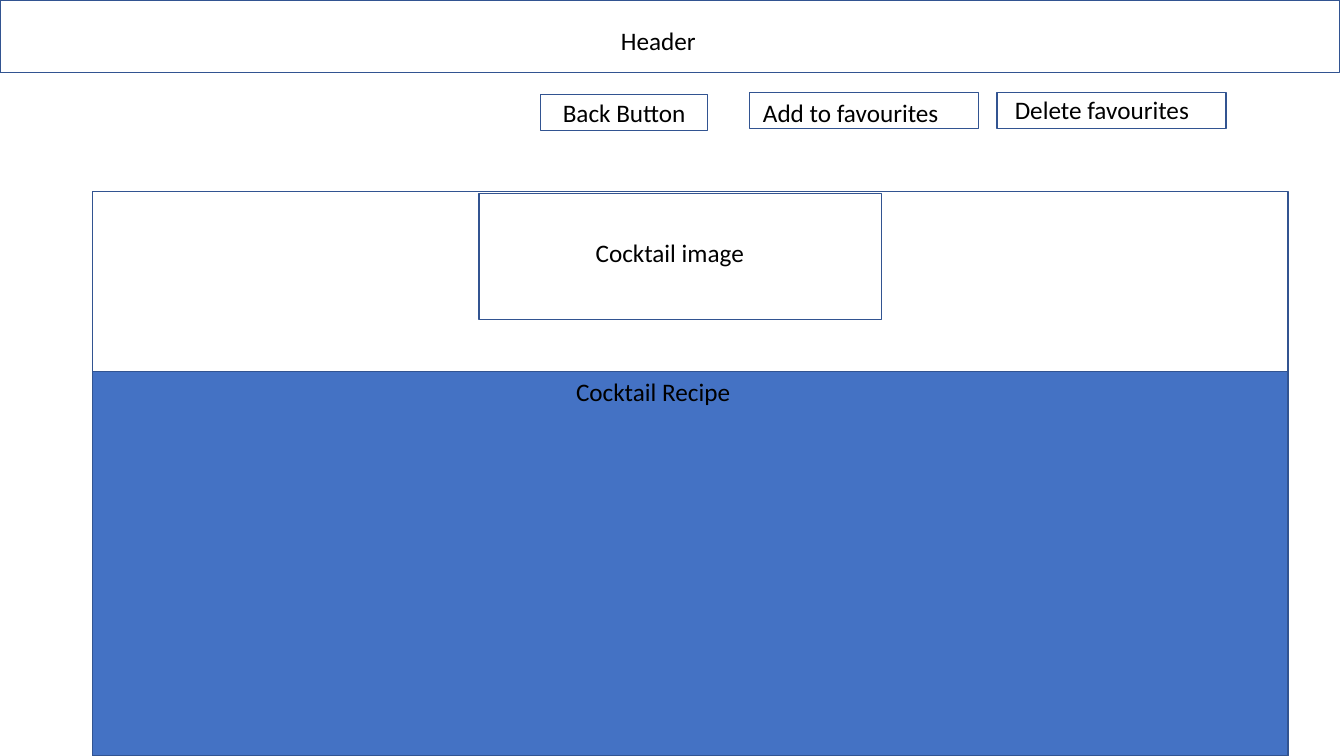
"""Build the cocktail recipe page wireframe slide."""
from pptx import Presentation
from pptx.dml.color import RGBColor
from pptx.enum.shapes import MSO_SHAPE
from pptx.enum.text import MSO_AUTO_SIZE, PP_ALIGN
from pptx.util import Cm, Pt

BOXES = [
    (0, 0, 33.76, 1.83, None),
    (13.62, 2.38, 4.21, 0.91, None),
    (18.89, 2.33, 5.77, 0.91, None),
    (25.13, 2.33, 5.77, 0.91, None),
    (2.33, 4.83, 30.13, 14.21, None),
    (12.07, 4.87, 10.14, 3.19, None),
    (2.33, 9.36, 30.13, 9.68, "4472C4"),
]
LABELS = [
    ("Header", 12.78, 0.51),
    ("Back Button", 11.92, 2.34),
    ("Add to favourites", 17.63, 2.34),
    ("Delete favourites", 23.96, 2.26),
    ("Cocktail image", 13.07, 5.86),
    ("Cocktail Recipe", 12.65, 9.35),
]
LABEL_SIZE = (7.62, 1.02)
FONT = {"name": "Calibri", "size": Pt(18)}
FRAME = {"word_wrap": True, "auto_size": MSO_AUTO_SIZE.SHAPE_TO_FIT_TEXT}


def rgb(value):
    return RGBColor.from_string(value)


def set_all(obj, values):
    for key, value in values.items():
        setattr(obj, key, value)


def add_box(s, x, y, w, h, fill):
    sp = s.shapes.add_shape(MSO_SHAPE.RECTANGLE, Cm(x), Cm(y), Cm(w), Cm(h))
    sp.shadow.inherit = False
    sp.line.color.rgb = rgb("325491")
    sp.line.width = Pt(1)
    if fill:
        sp.fill.solid()
        sp.fill.fore_color.rgb = rgb(fill)
    else:
        sp.fill.background()


def add_label(s, text, x, y):
    w, h = LABEL_SIZE
    sp = s.shapes.add_textbox(Cm(x), Cm(y), Cm(w), Cm(h))
    tf = sp.text_frame
    set_all(tf, FRAME)
    p = tf.paragraphs[0]
    p.alignment = PP_ALIGN.CENTER
    r = p.add_run()
    r.text = text
    set_all(r.font, FONT)
    r.font.color.rgb = rgb("000000")


prs = Presentation()
prs.slide_width, prs.slide_height = Cm(33.87), Cm(19.05)
s = prs.slides.add_slide(prs.slide_layouts[6])
for box in BOXES:
    add_box(s, *box)
for label in LABELS:
    add_label(s, *label)
prs.save("out.pptx")
